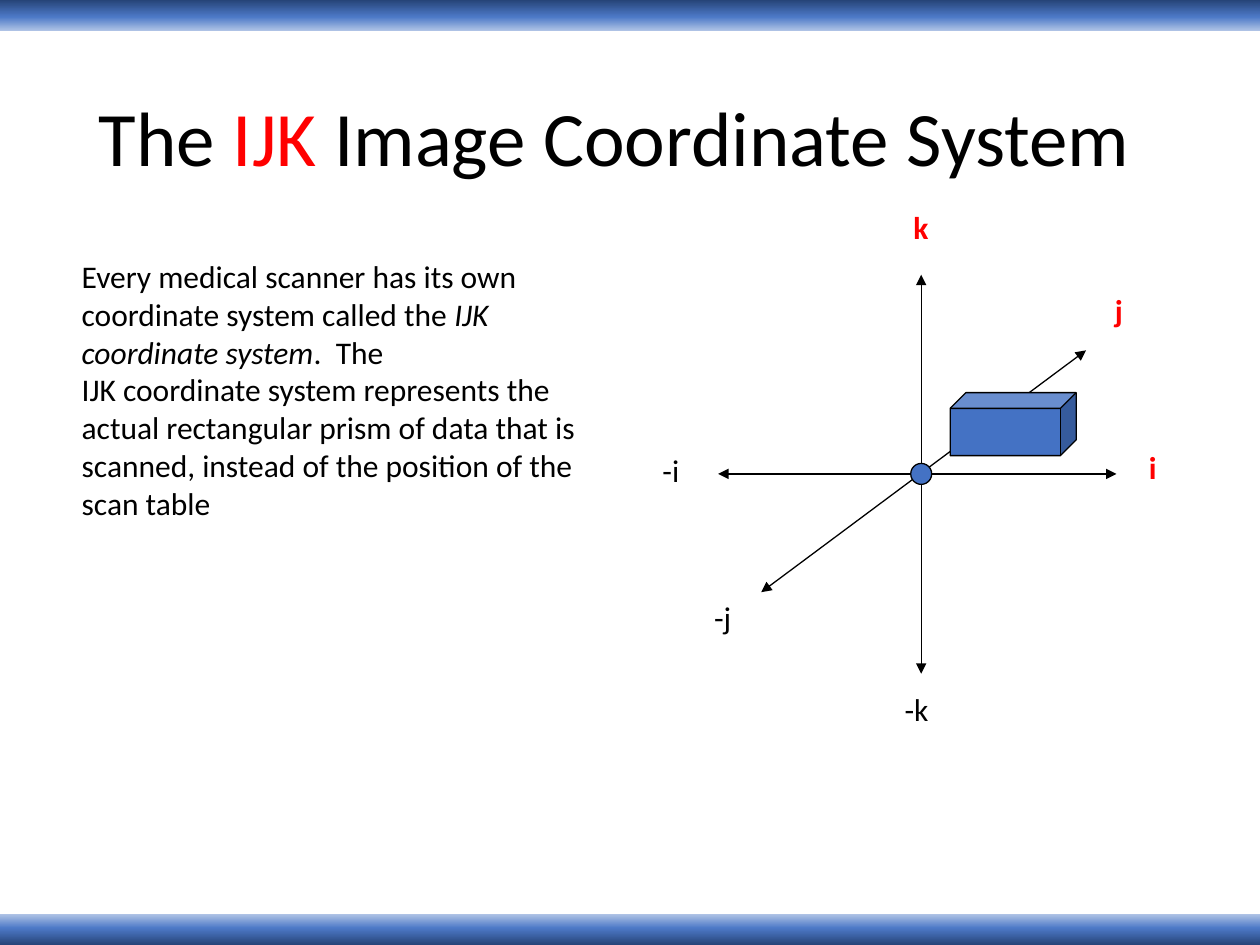
from copy import deepcopy

from lxml import etree
from pptx import Presentation
from pptx.dml.color import RGBColor
from pptx.enum.shapes import MSO_CONNECTOR, MSO_SHAPE
from pptx.enum.text import MSO_ANCHOR, MSO_AUTO_SIZE
from pptx.oxml.ns import qn
from pptx.util import Pt

RECTANGLE, OVAL, CUBE = MSO_SHAPE.RECTANGLE, MSO_SHAPE.OVAL, MSO_SHAPE.CUBE
STRAIGHT = MSO_CONNECTOR.STRAIGHT
TOP, MIDDLE = MSO_ANCHOR.TOP, MSO_ANCHOR.MIDDLE
FIT_SHAPE, NO_FIT = MSO_AUTO_SIZE.SHAPE_TO_FIT_TEXT, MSO_AUTO_SIZE.NONE

BLACK = RGBColor(0x00, 0x00, 0x00)
RED = RGBColor(0xFF, 0x00, 0x00)
BLUE = RGBColor(0x44, 0x72, 0xC4)
BAND_STOPS = [
    (0, RGBColor(0xB4, 0xC7, 0xE7)),
    (0.46, RGBColor(0x4D, 0x79, 0xC7)),
    (1, RGBColor(0x26, 0x44, 0x78)),
]

WIDTH, HEIGHT, BAND_HEIGHT = 720, 540, 18


class SlideBuilder:
    font = "Calibri"
    line_width = 0.75

    def __init__(self, slide):
        self.slide = slide

    def text(self, box, paragraphs, size=18, anchor=TOP, wrap=True,
             fit=FIT_SHAPE, line_spacing=None):
        """Each paragraph is a list of (words, font settings) runs."""
        frame = self.slide.shapes.add_textbox(*map(Pt, box)).text_frame
        frame.word_wrap = wrap
        frame.auto_size = fit
        frame.vertical_anchor = anchor
        for index, runs in enumerate(paragraphs):
            paragraph = frame.add_paragraph() if index else frame.paragraphs[0]
            if line_spacing:
                paragraph.line_spacing = line_spacing
            for words, look in runs:
                run = paragraph.add_run()
                run.text = words
                run.font.name = self.font
                run.font.size = Pt(size)
                run.font.bold = look.get("bold", False)
                run.font.italic = look.get("italic", False)
                run.font.color.rgb = look.get("color", BLACK)

    def band(self, top, rotation=0):
        band = self.slide.shapes.add_shape(
            RECTANGLE, Pt(0), Pt(top), Pt(WIDTH), Pt(BAND_HEIGHT))
        band.shadow.inherit = False
        band.rotation = rotation
        band.line.fill.background()
        band.fill.gradient()
        band.fill.gradient_angle = 90
        first_stop = band.fill._fill._gradFill.find(qn("a:gsLst"))[0]
        first_stop.addnext(deepcopy(first_stop))
        for stop, (position, color) in zip(band.fill.gradient_stops, BAND_STOPS):
            stop.position = position
            stop.color.rgb = color

    def solid(self, kind, box):
        shape = self.slide.shapes.add_shape(kind, *map(Pt, box))
        shape.shadow.inherit = False
        shape.fill.solid()
        shape.fill.fore_color.rgb = BLUE
        shape.line.color.rgb = BLACK
        shape.line.width = Pt(self.line_width)
        return shape

    def axis(self, start, end):
        """Draw a line with an arrowhead at both ends."""
        axis = self.slide.shapes.add_connector(STRAIGHT, *map(Pt, start + end))
        axis.line.color.rgb = BLACK
        axis.line.width = Pt(self.line_width)
        line = axis.line._get_or_add_ln()
        for arrow_end in ("a:headEnd", "a:tailEnd"):
            etree.SubElement(line, qn(arrow_end), type="triangle")
        etree.SubElement(axis._element.spPr, qn("a:effectLst"))


def main():
    presentation = Presentation()
    presentation.slide_width, presentation.slide_height = Pt(WIDTH), Pt(HEIGHT)
    builder = SlideBuilder(
        presentation.slides.add_slide(presentation.slide_layouts[6]))

    builder.band(0)
    builder.band(HEIGHT - BAND_HEIGHT, rotation=180)

    builder.text(
        (49.5, 28.75, 621, 104.4),
        [[("The ", {}), ("IJK ", {"color": RED}),
          ("Image Coordinate System", {})]],
        size=44, anchor=MIDDLE, fit=NO_FIT, line_spacing=0.9)

    positive, negative = {"color": RED, "bold": True}, {}
    axis_labels = [
        ("i", 649.4, 252.7, 20.9, positive),
        ("j", 630, 162.7, 22.3, positive),
        ("k", 514.8, 115.2, 28.1, positive),
        ("-k", 509.8, 391, 34.6, negative),
        ("-j", 401, 338.4, 28.8, negative),
        ("-i", 371.5, 254.2, 28.8, negative),
    ]
    for label, left, top, width, look in axis_labels:
        builder.text((left, top, width, 36), [[(label, look)]], wrap=False)

    builder.axis((410.4, 270.8), (638, 270.8))
    builder.axis((526.4, 385), (526.4, 157))
    builder.axis((435, 338.4), (620.6, 200.2))

    builder.solid(OVAL, (520.4, 264.8, 12, 12))
    scan_volume = builder.solid(CUBE, (543, 224.4, 72, 36))
    scan_volume.adjustments[0] = 0.25

    builder.text((39.6, 143.3, 297.4, 159.8), [
        [("Every medical scanner has its own coordinate system called the ", {}),
         ("IJK coordinate system", {"italic": True}),
         (".  The", {})],
        [("IJK coordinate system represents the actual rectangular prism of "
          "data that is scanned, instead of the position of the scan table",
          {})],
    ])

    presentation.save("out.pptx")


if __name__ == "__main__":
    main()
